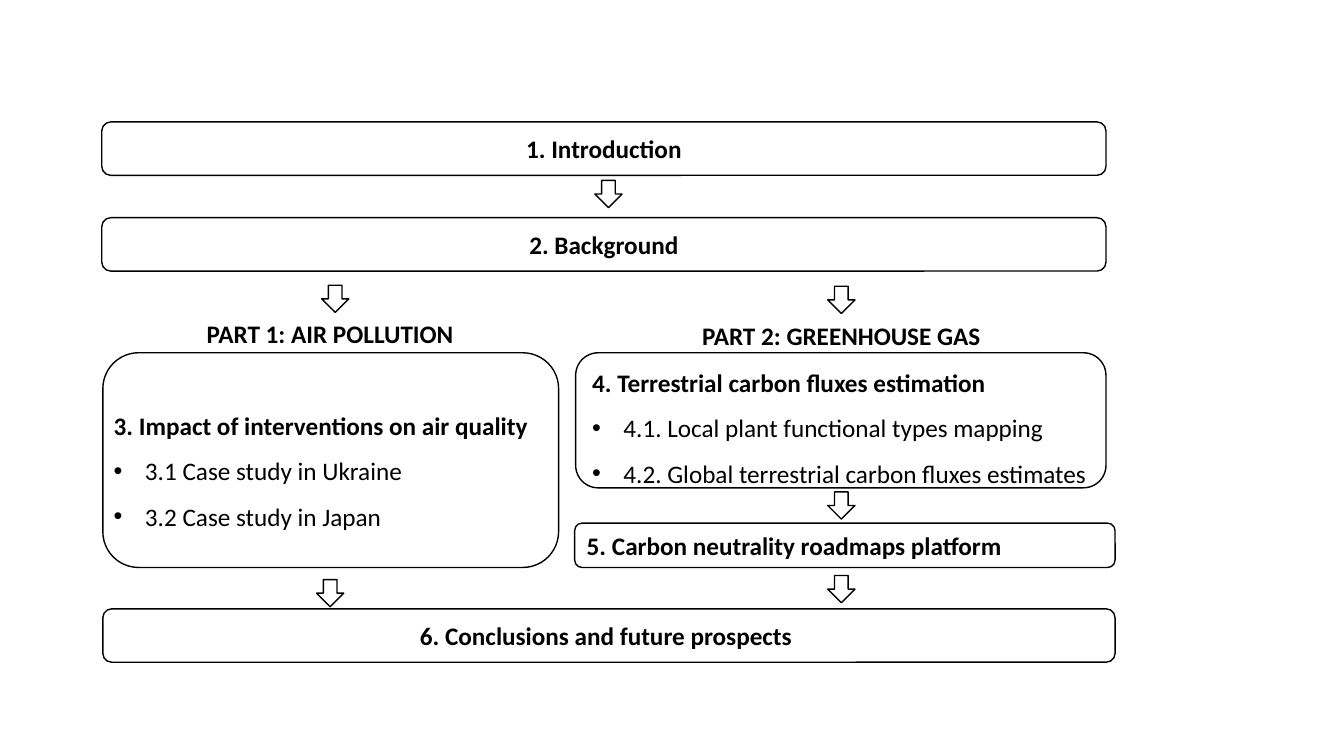
import pptx
import pptx.dml.color
import pptx.enum.shapes
import pptx.enum.text
import pptx.util
from lxml import etree

Inches = pptx.util.Inches
Align = pptx.enum.text.PP_ALIGN
Shape = pptx.enum.shapes.MSO_SHAPE


def color(hex_code):
    return pptx.dml.color.RGBColor.from_string(hex_code)


class OutlineChart:
    """Holds the slide and the common style of the thesis outline."""
    font, size, ink = "Calibri", 18, "000000"
    arrow_size = 0.27
    bullet_indent = 0.31

    def __init__(self, slide):
        self.slide = slide

    def outlined(self, preset, left, top, width, height):
        shape = self.slide.shapes.add_shape(
            preset, Inches(left), Inches(top), Inches(width), Inches(height))
        shape.shadow.inherit = False
        shape.fill.background()
        shape.line.color.rgb = color(self.ink)
        shape.line.width = pptx.util.Pt(1)
        return shape

    def set_line(self, paragraph, text, align=Align.LEFT, bold=True):
        paragraph.text = text
        paragraph.alignment = align
        for run in paragraph.runs:
            run.font.name = self.font
            run.font.size = pptx.util.Pt(self.size)
            run.font.bold = bold
            run.font.color.rgb = color(self.ink)

    def box(self, left, top, width, height, text="", align=Align.CENTER):
        panel = self.outlined(Shape.ROUNDED_RECTANGLE, left, top, width, height)
        panel.text_frame.vertical_anchor = pptx.enum.text.MSO_ANCHOR.MIDDLE
        if text:
            self.set_line(panel.text_frame.paragraphs[0], text, align)
        return panel

    def arrow(self, left, top):
        self.outlined(Shape.DOWN_ARROW, left, top, self.arrow_size, self.arrow_size)

    def text_area(self, left, top, width, height):
        area = self.slide.shapes.add_textbox(
            Inches(left), Inches(top), Inches(width), Inches(height))
        area.text_frame.word_wrap = True
        return area

    def part_label(self, left, top, width, text):
        label = self.text_area(left, top, width, 0.4)
        self.set_line(label.text_frame.paragraphs[0], text, Align.CENTER)

    def chapter(self, holder, heading, sections):
        frame = holder.text_frame
        self.set_line(frame.paragraphs[0], heading)
        for section in sections:
            item = frame.add_paragraph()
            self.set_line(item, section, bold=False)
            self.bullet(item)
        for paragraph in frame.paragraphs:
            paragraph.line_spacing = 1.5

    def bullet(self, paragraph):
        props = paragraph._p.get_or_add_pPr()
        indent = Inches(self.bullet_indent)
        props.set("marL", str(indent))
        props.set("indent", str(-indent))
        namespace = "{http://schemas.openxmlformats.org/drawingml/2006/main}"
        etree.SubElement(props, namespace + "buFont", typeface="Arial")
        etree.SubElement(props, namespace + "buChar", char="•")


def main():
    deck = pptx.Presentation()
    deck.slide_width, deck.slide_height = Inches(13.33), Inches(7.5)
    outline = OutlineChart(deck.slides.add_slide(deck.slide_layouts[6]))

    # Opening chapters
    outline.box(1.01, 1.21, 9.96, 0.53, "1. Introduction")
    outline.box(1.01, 2.16, 9.96, 0.53, "2. Background")

    # Part 1
    outline.part_label(1.01, 3.11, 4.53, "PART 1: AIR POLLUTION")
    outline.box(1.02, 3.5, 4.52, 2.13)
    interventions = outline.text_area(1.03, 3.87, 5, 1.42)
    outline.chapter(interventions, "3. Impact of interventions on air quality",
                    ["3.1 Case study in Ukraine", "3.2 Case study in Japan"])

    # Part 2
    outline.part_label(5.72, 3.13, 5.25, "PART 2: GREENHOUSE GAS")
    carbon_fluxes = outline.box(5.71, 3.5, 5.26, 1.34)
    outline.chapter(carbon_fluxes, "4. Terrestrial carbon fluxes estimation",
                    ["4.1. Local plant functional types mapping",
                     "4.2. Global terrestrial carbon fluxes estimates"])
    outline.box(5.7, 5.19, 5.36, 0.44,
                "5. Carbon neutrality roadmaps platform", Align.LEFT)

    # Closing chapter
    outline.box(1.02, 6.04, 10.04, 0.53, "6. Conclusions and future prospects ")

    # Arrows between the chapters
    for left, top in [(5.9, 1.79), (3.19, 2.83), (3.14, 5.75),
                      (8.21, 2.84), (8.21, 4.88), (8.21, 5.71)]:
        outline.arrow(left, top)

    deck.save("out.pptx")


if __name__ == "__main__":
    main()
